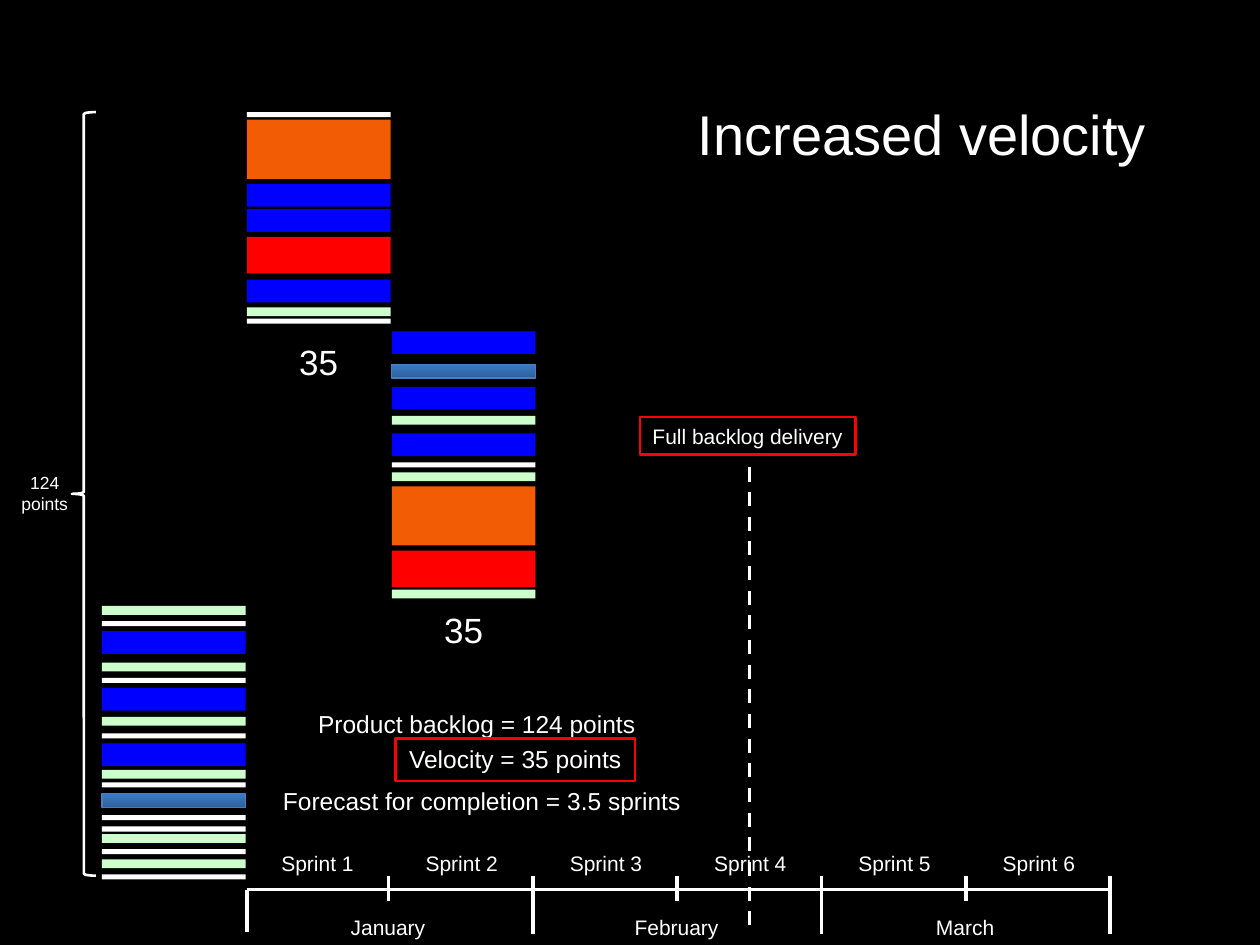
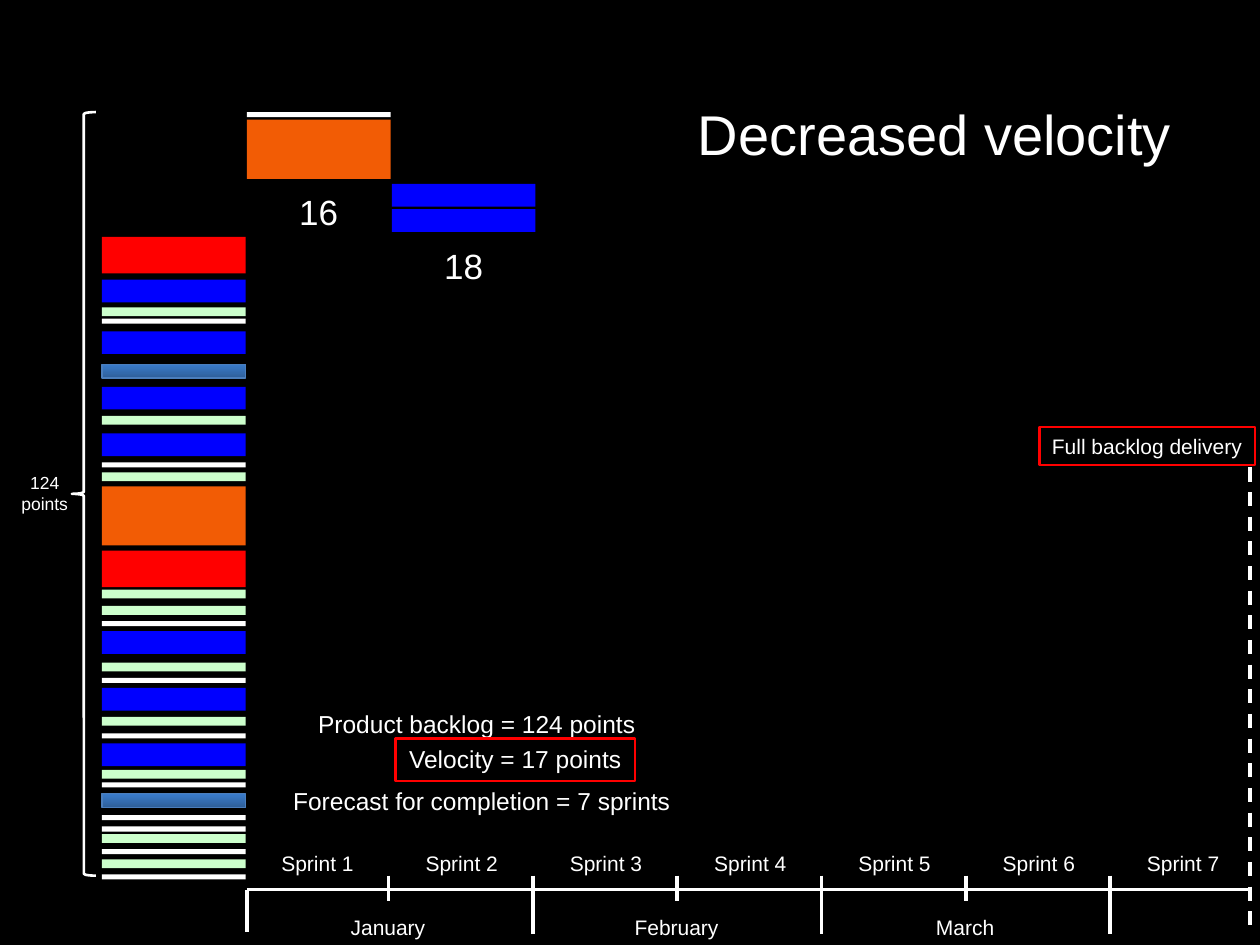
"""Build two sprint forecast slides: increased and decreased velocity."""
from lxml import etree
from pptx import Presentation
from pptx.dml.color import RGBColor
from pptx.enum.dml import MSO_LINE
from pptx.enum.shapes import MSO_CONNECTOR, MSO_SHAPE
from pptx.enum.text import MSO_AUTO_SIZE, PP_ALIGN
from pptx.oxml.ns import qn
from pptx.util import Inches, Pt

STRAIGHT = MSO_CONNECTOR.STRAIGHT
RECTANGLE, LEFT_BRACE = MSO_SHAPE.RECTANGLE, MSO_SHAPE.LEFT_BRACE
FIT_SHAPE = MSO_AUTO_SIZE.SHAPE_TO_FIT_TEXT
LEFT, CENTER = PP_ALIGN.LEFT, PP_ALIGN.CENTER
DASH = MSO_LINE.DASH

BLACK = RGBColor(0x00, 0x00, 0x00)
WHITE = RGBColor(0xFF, 0xFF, 0xFF)
GREEN = RGBColor(0xCC, 0xFF, 0xCC)
BLUE = RGBColor(0x00, 0x00, 0xFF)
RED = RGBColor(0xFF, 0x00, 0x00)
ORANGE = RGBColor(0xF2, 0x5C, 0x05)
STEEL = RGBColor(0x3A, 0x7C, 0xCB)
STEEL_DARK = RGBColor(0x2F, 0x5F, 0x99)
STEEL_EDGE = RGBColor(0x4B, 0x7E, 0xBC)

FONT = "Arial"
STORY_WIDTH = 1.14
STORY_HEIGHTS = {WHITE: 0.04, GREEN: 0.07, STEEL: 0.11, BLUE: 0.18, RED: 0.29, ORANGE: 0.47}
BACKLOG_LEFT, COLUMN_PITCH = 0.81, 1.15
SPRINT_PITCH = 1.145
AXIS_LEFT, AXIS_TOP = 1.96, 7.06

BACKLOG = [
    (WHITE, 0.89), (ORANGE, 0.95), (BLUE, 1.46), (BLUE, 1.66), (RED, 1.88), (BLUE, 2.22),
    (GREEN, 2.44), (WHITE, 2.53), (BLUE, 2.63), (STEEL, 2.89), (BLUE, 3.07), (GREEN, 3.3),
    (BLUE, 3.44), (WHITE, 3.67), (GREEN, 3.75), (ORANGE, 3.86), (RED, 4.37), (GREEN, 4.68),
    (GREEN, 4.81), (WHITE, 4.93), (BLUE, 5.01), (GREEN, 5.26), (WHITE, 5.38), (BLUE, 5.46),
    (GREEN, 5.69), (WHITE, 5.82), (BLUE, 5.9), (GREEN, 6.11), (WHITE, 6.21), (STEEL, 6.3),
    (WHITE, 6.47), (WHITE, 6.56), (GREEN, 6.62), (WHITE, 6.74), (GREEN, 6.82), (WHITE, 6.94),
]

SLIDES = [
    {"title": "Increased velocity", "title_width": 3.79, "velocity": 35, "forecast": "3.5",
     "sprint_ends": (8, 18), "totals": [("35", 2.65), ("35", 4.78)],
     "sprints": 6, "axis_right": 8.82, "delivery_x": 5.95, "delivery_box": (5.08, 3.31)},
    {"title": "Decreased velocity", "title_width": 3.99, "velocity": 17, "forecast": "7",
     "sprint_ends": (2, 4), "totals": [("16", 1.46), ("18", 1.89)],
     "sprints": 7, "axis_right": 9.92, "delivery_x": 9.92, "delivery_box": (8.25, 3.39)},
]


def add_text(page, text, left, top, width, height, size=12, align=CENTER, wrap=True, border=None):
    box = page.shapes.add_textbox(Inches(left), Inches(top), Inches(width), Inches(height))
    frame = box.text_frame
    frame.word_wrap = wrap
    frame.auto_size = FIT_SHAPE
    frame.text = text
    for para in frame.paragraphs:
        para.alignment = align
        for span in para.runs:
            span.font.name = FONT
            span.font.size = Pt(size)
            span.font.color.rgb = WHITE
    if border is not None:
        box.line.color.rgb = border
        box.line.width = Pt(1.5)


def add_line(page, x1, y1, x2, y2, dash=None):
    line = page.shapes.add_connector(STRAIGHT, Inches(x1), Inches(y1), Inches(x2), Inches(y2))
    line.line.color.rgb = WHITE
    line.line.width = Pt(2)
    line.line.dash_style = dash
    etree.SubElement(line._element.spPr, qn("a:effectLst"))


deck = Presentation()
deck.slide_width, deck.slide_height = Inches(10), Inches(7.5)

for plan in SLIDES:
    page = deck.slides.add_slide(deck.slide_layouts[6])
    page.background.fill.solid()
    page.background.fill.fore_color.rgb = BLACK

    first_end, second_end = plan["sprint_ends"]
    for index, (color, top) in enumerate(BACKLOG):
        column = 1 if index < first_end else 2 if index < second_end else 0
        story = page.shapes.add_shape(
            RECTANGLE, Inches(BACKLOG_LEFT + column * COLUMN_PITCH), Inches(top),
            Inches(STORY_WIDTH), Inches(STORY_HEIGHTS[color]))
        story.shadow.inherit = False
        if color == STEEL:
            story.fill.gradient()
            story.fill.gradient_angle = 90
            for stop, shade in zip(story.fill.gradient_stops, (STEEL_DARK, STEEL)):
                stop.color.rgb = shade
            story.line.color.rgb = STEEL_EDGE
            story.line.width = Pt(0.75)
        else:
            story.fill.solid()
            story.fill.fore_color.rgb = color
            story.line.fill.background()

    for column, (total, top) in enumerate(plan["totals"]):
        add_text(page, total, AXIS_LEFT + column * COLUMN_PITCH, top, STORY_WIDTH, 0.44, size=20)

    brace = page.shapes.add_shape(LEFT_BRACE, Inches(0.57), Inches(0.89), Inches(0.19), Inches(6.06))
    brace.shadow.inherit = False
    brace.adjustments[0], brace.adjustments[1] = 0.08, 0.5
    brace.fill.background()
    brace.line.color.rgb = WHITE
    brace.line.width = Pt(1.5)
    add_text(page, "124\npoints", 0.07, 3.7, 0.57, 0.44, size=10, wrap=False)

    add_line(page, AXIS_LEFT, AXIS_TOP, plan["axis_right"], AXIS_TOP)
    add_line(page, AXIS_LEFT, AXIS_TOP, AXIS_LEFT, 7.4)
    for tick in range(1, 7):
        x = 1.94 + tick * SPRINT_PITCH
        add_line(page, x, 6.95, x, 7.15 if tick % 2 else 7.41)
    for sprint in range(plan["sprints"]):
        add_text(page, f"Sprint {sprint + 1}", 1.95 + sprint * SPRINT_PITCH, 6.7, STORY_WIDTH, 0.3)
    for month, name in enumerate(("January", "February", "March")):
        add_text(page, name, 2.51 + month * 2 * SPRINT_PITCH, 7.21, STORY_WIDTH, 0.3)

    add_text(page, "Product backlog = 124 points", 2.42, 5.58, 2.73, 0.34, size=14, wrap=False)
    add_text(page, f"Velocity = {plan['velocity']} points", 3.14, 5.86, 1.9, 0.34,
             size=14, wrap=False, border=RED)
    add_text(page, f"Forecast for completion = {plan['forecast']} sprints", 2.14, 6.19, 3.37, 0.34,
             size=14, wrap=False)

    add_line(page, plan["delivery_x"], 3.71, plan["delivery_x"], 7.4, dash=DASH)
    add_text(page, "Full backlog delivery", *plan["delivery_box"], 1.71, 0.3, align=LEFT, border=RED)
    add_text(page, plan["title"], 5.44, 0.74, plan["title_width"], 0.64,
             size=32, align=LEFT, wrap=False)

deck.save("out.pptx")
